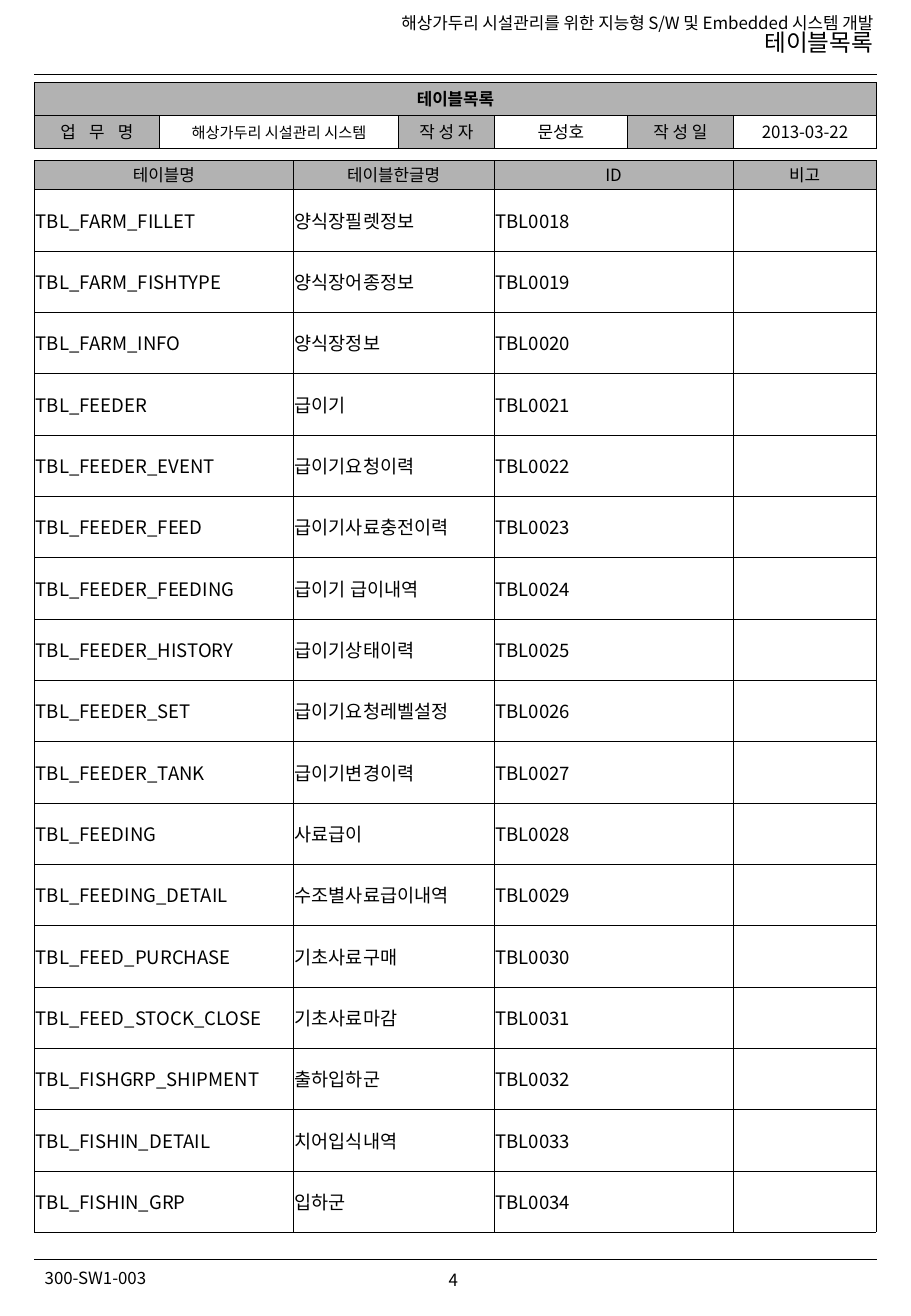
"""Build the table list page of a database design document."""
from dataclasses import dataclass

import pptx
import pptx.dml.color
import pptx.enum.shapes
import pptx.enum.text
import pptx.oxml.ns
import pptx.presentation
import pptx.shapes.autoshape
import pptx.slide
import pptx.table
import pptx.text.text
import pptx.util
from lxml import etree

Cm = pptx.util.Cm
Pt = pptx.util.Pt
Align = pptx.enum.text.PP_ALIGN
Anchor = pptx.enum.text.MSO_ANCHOR

FONT = "Noto Sans CJK KR"
BLACK = "000000"
GRAY = "B2B2B2"
LEFT = 0.72
RIGHT = 18.33
FIRST_ID = 18

TABLE_NAMES = [
    ("TBL_FARM_FILLET", "양식장필렛정보"),
    ("TBL_FARM_FISHTYPE", "양식장어종정보"),
    ("TBL_FARM_INFO", "양식장정보"),
    ("TBL_FEEDER", "급이기"),
    ("TBL_FEEDER_EVENT", "급이기요청이력"),
    ("TBL_FEEDER_FEED", "급이기사료충전이력"),
    ("TBL_FEEDER_FEEDING", "급이기 급이내역"),
    ("TBL_FEEDER_HISTORY", "급이기상태이력"),
    ("TBL_FEEDER_SET", "급이기요청레벨설정"),
    ("TBL_FEEDER_TANK", "급이기변경이력"),
    ("TBL_FEEDING", "사료급이"),
    ("TBL_FEEDING_DETAIL", "수조별사료급이내역"),
    ("TBL_FEED_PURCHASE", "기초사료구매"),
    ("TBL_FEED_STOCK_CLOSE", "기초사료마감"),
    ("TBL_FISHGRP_SHIPMENT", "출하입하군"),
    ("TBL_FISHIN_DETAIL", "치어입식내역"),
    ("TBL_FISHIN_GRP", "입하군"),
]


@dataclass
class Line:
    text: str
    size: float = 10
    bold: bool = False
    align: Align = Align.CENTER
    line_spacing: float = 1.0
    letter_spacing: float = 0


@dataclass
class Label:
    left: float
    top: float
    width: float
    height: float
    lines: list[Line]
    margin_x: float = 0.25
    margin_y: float = 0.13
    anchor: Anchor = Anchor.TOP
    wrap: bool = False


@dataclass
class CellContent:
    line: Line
    fill: str | None = None
    margin_x: float = 0.03


@dataclass
class Grid:
    top: float
    columns: list[float]
    rows: list[float]
    cells: list[list[CellContent]]


def color(value: str) -> pptx.dml.color.RGBColor:
    """Turn a hex string into a colour."""
    return pptx.dml.color.RGBColor.from_string(value)


def write_line(paragraph: pptx.text.text._Paragraph, line: Line) -> None:
    """Write one styled line into a paragraph."""
    paragraph.alignment = line.align
    paragraph.line_spacing = line.line_spacing
    run = paragraph.add_run()
    run.text = line.text
    run.font.size = Pt(line.size)
    run.font.bold = line.bold
    run.font.name = FONT
    run.font.color.rgb = color(BLACK)
    properties = run.font._element
    etree.SubElement(properties, pptx.oxml.ns.qn("a:ea"), typeface=FONT)
    if line.letter_spacing:
        properties.set("spc", str(round(line.letter_spacing * 100)))


def add_label(slide: pptx.slide.Slide, label: Label) -> None:
    """Add a text box."""
    shape = slide.shapes.add_textbox(
        Cm(label.left), Cm(label.top), Cm(label.width), Cm(label.height))
    frame = shape.text_frame
    frame.word_wrap = label.wrap
    frame.vertical_anchor = label.anchor
    frame.margin_left = frame.margin_right = Cm(label.margin_x)
    frame.margin_top = frame.margin_bottom = Cm(label.margin_y)
    for index, line in enumerate(label.lines):
        write_line(frame.add_paragraph() if index else frame.paragraphs[0], line)


def add_rule(slide: pptx.slide.Slide, top: float) -> None:
    """Add a thin horizontal line across the page."""
    connector = slide.shapes.add_connector(
        pptx.enum.shapes.MSO_CONNECTOR.STRAIGHT, Cm(LEFT), Cm(top), Cm(RIGHT), Cm(top))
    connector.line.color.rgb = color(BLACK)
    connector.line.width = Pt(0.25)
    etree.SubElement(connector._element.spPr, pptx.oxml.ns.qn("a:effectLst"))


def add_borders(cell: pptx.table._Cell) -> None:
    """Draw a hairline on every side of a cell."""
    properties = cell._tc.get_or_add_tcPr()
    for index, side in enumerate(("lnL", "lnR", "lnT", "lnB")):
        border = etree.Element(pptx.oxml.ns.qn(f"a:{side}"), w=str(Pt(0.11)))
        fill = etree.SubElement(border, pptx.oxml.ns.qn("a:solidFill"))
        etree.SubElement(fill, pptx.oxml.ns.qn("a:srgbClr"), val=BLACK)
        properties.insert(index, border)


def add_grid(slide: pptx.slide.Slide, grid: Grid) -> pptx.table.Table:
    """Add a bordered table."""
    table = slide.shapes.add_table(
        len(grid.rows), len(grid.columns), Cm(LEFT), Cm(grid.top),
        Cm(sum(grid.columns)), Cm(sum(grid.rows))).table
    table.first_row = table.horz_banding = False
    for column, width in zip(table.columns, grid.columns):
        column.width = Cm(width)
    for row, height in zip(table.rows, grid.rows):
        row.height = Cm(height)
    for cell in table.iter_cells():
        cell.fill.background()
        add_borders(cell)
    for row, contents in zip(table.rows, grid.cells):
        for cell, content in zip(row.cells, contents):
            cell.vertical_anchor = Anchor.MIDDLE
            cell.margin_left = cell.margin_right = Cm(content.margin_x)
            cell.margin_top = cell.margin_bottom = Cm(0.03)
            if content.fill:
                cell.fill.solid()
                cell.fill.fore_color.rgb = color(content.fill)
            write_line(cell.text_frame.paragraphs[0], content.line)
    return table


def main() -> None:
    """Build and save the presentation."""
    presentation = pptx.Presentation()
    presentation.slide_width = Cm(19.05)
    presentation.slide_height = Cm(27.53)
    slide = presentation.slides.add_slide(presentation.slide_layouts[6])

    add_label(slide, Label(0.71, 0.13, 17.8, 1.27, [
        Line("해상가두리 시설관리를 위한 지능형 S/W 및 Embedded 시스템 개발", align=Align.RIGHT),
        Line("테이블목록", 14, align=Align.RIGHT, line_spacing=0.85),
    ], wrap=True))
    add_label(slide, Label(0.66, 26.39, 2.67, 0.69, [Line("300-SW1-003")]))
    add_label(slide, Label(8.44, 26.21, 2.08, 1.12, [Line("4")], 0, 0, Anchor.MIDDLE))
    for top in (1.55, 26.35):
        add_rule(slide, top)

    summary = add_grid(slide, Grid(
        1.72, [2.61, 5, 2.01, 2.78, 2.22, 2.99], [0.69, 0.69], [
            [CellContent(Line("테이블목록", bold=True), GRAY)],
            [CellContent(Line("업 무 명", letter_spacing=2.8), GRAY),
             CellContent(Line("해상가두리 시설관리 시스템", 9)),
             CellContent(Line("작 성 자"), GRAY),
             CellContent(Line("문성호")),
             CellContent(Line("작 성 일"), GRAY),
             CellContent(Line("2013-03-22"))],
        ]))
    summary.cell(0, 0).merge(summary.cell(0, 5))

    header_height, list_height = 0.61, 22.43
    row_height = (list_height - header_height) / len(TABLE_NAMES)
    header = [CellContent(Line(text), GRAY) for text in ("테이블명", "테이블한글명", "ID", "비고")]
    body = [
        [CellContent(Line(text, 11, align=Align.LEFT))
         for text in (name, korean_name, f"TBL{number:04}")]
        for number, (name, korean_name) in enumerate(TABLE_NAMES, FIRST_ID)
    ]
    add_grid(slide, Grid(3.35, [5.41, 4.2, 5, 2.99],
                         [header_height] + [row_height] * len(body), [header] + body))
    presentation.save("out.pptx")


if __name__ == "__main__":
    main()
